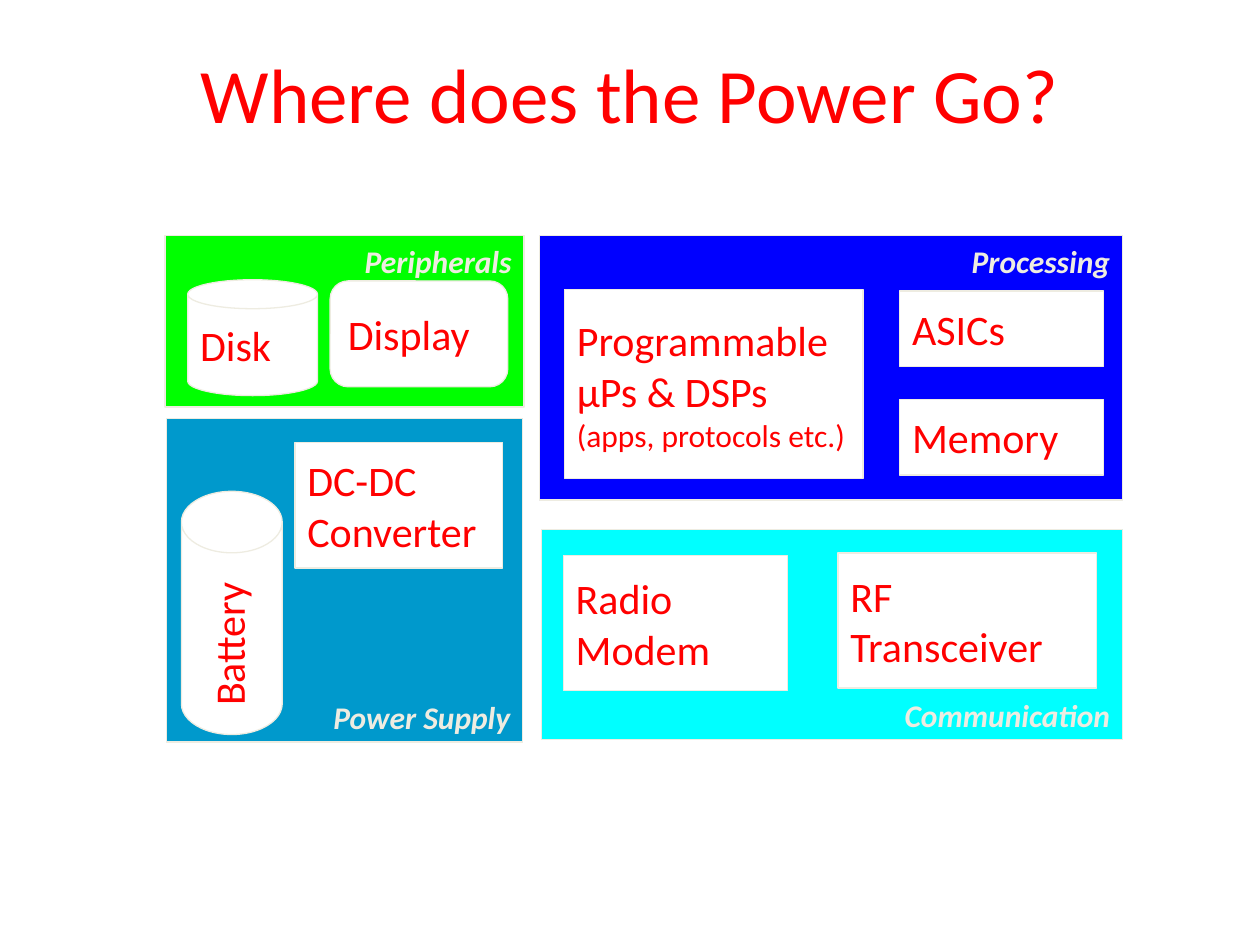
from pptx import Presentation
from pptx.dml.color import RGBColor
from pptx.enum.shapes import MSO_SHAPE
from pptx.enum.text import MSO_ANCHOR, PP_ALIGN
from pptx.util import Inches, Pt

RECT, ROUNDED, CAN = MSO_SHAPE.RECTANGLE, MSO_SHAPE.ROUNDED_RECTANGLE, MSO_SHAPE.CAN
TOP, MIDDLE, BOTTOM = MSO_ANCHOR.TOP, MSO_ANCHOR.MIDDLE, MSO_ANCHOR.BOTTOM
LEFT, CENTER, RIGHT = PP_ALIGN.LEFT, PP_ALIGN.CENTER, PP_ALIGN.RIGHT

COLORS = {
    "text": "FF0000", "outline": "EEECE1", "part": "FFFFFF",
    "peripherals": "00FF00", "power": "0099CC",
    "processing": "0000FF", "communication": "00FFFF",
}

deck = Presentation()
deck.slide_width, deck.slide_height = Inches(10), Inches(7.5)
COL, ROW = deck.slide_width / 100, deck.slide_height / 75
slide = deck.slides.add_slide(deck.slide_layouts[5])


def write(holder, lines, sizes=(24,), color="text", align=LEFT, anchor=MIDDLE,
          emphasis=False, wrap=False):
    """Write one paragraph per line; the last size serves all further lines."""
    frame = holder.text_frame
    frame.word_wrap, frame.vertical_anchor = wrap, anchor
    frame.text = "\n".join(lines)
    for index, paragraph in enumerate(frame.paragraphs):
        paragraph.alignment = align
        font = paragraph.runs[0].font
        font.name, font.size = "Calibri", Pt(sizes[min(index, len(sizes) - 1)])
        font.bold = font.italic = emphasis
        font.color.rgb = RGBColor.from_string(COLORS[color])


def block(geometry, cells, fill, adjustment=None):
    """Draw a filled, thinly outlined shape at grid cells (x, y, width, height)."""
    x, y, width, height = cells
    shape = slide.shapes.add_shape(geometry, round(x * COL), round(y * ROW),
                                   round(width * COL), round(height * ROW))
    shape.shadow.inherit = False
    shape.fill.solid()
    shape.fill.fore_color.rgb = RGBColor.from_string(COLORS[fill])
    shape.line.color.rgb = RGBColor.from_string(COLORS["outline"])
    shape.line.width = Pt(0.75)
    if adjustment is not None:
        shape.adjustments[0] = adjustment
    return shape


title = slide.shapes.title
title.left, title.top = round(5 * COL), round(1.1 * ROW)
title.width, title.height = round(90 * COL), round(12.5 * ROW)
write(title, ["Where does the Power Go?"], sizes=(44,), align=CENTER, wrap=True)

subsystems = [
    ("Power Supply", "power", (13.2, 33.2, 28.3, 25.7), BOTTOM),
    ("Communication", "communication", (43, 42, 46.1, 16.7), BOTTOM),
    ("Processing", "processing", (42.8, 18.7, 46.3, 21), TOP),
    ("Peripherals", "peripherals", (13.1, 18.7, 28.5, 13.6), TOP),
]
for name, fill, cells, anchor in subsystems:
    write(block(RECT, cells, fill), [name], sizes=(18,), color="outline",
          align=RIGHT, anchor=anchor, emphasis=True)

parts = [
    (["DC-DC", "Converter"], RECT, (23.4, 35.1, 16.5, 10), None),
    (["Radio", "Modem"], RECT, (44.7, 44.1, 17.8, 10.7), None),
    (["RF", "Transceiver"], RECT, (66.5, 43.9, 20.5, 10.7), None),
    (["Programmable", "μPs & DSPs", "(apps, protocols etc.)"],
     RECT, (44.8, 23, 23.7, 15), None),
    (["Memory"], RECT, (71.4, 31.7, 16.2, 6), None),
    (["ASICs"], RECT, (71.4, 23.1, 16.2, 6), None),
    (["Disk"], CAN, (14.9, 22.2, 10.3, 9.2), 0.25),
    (["Display"], ROUNDED, (26.2, 22.3, 14.1, 8.4), 0.17),
]
for lines, geometry, cells, adjustment in parts:
    write(block(geometry, cells, "part", adjustment), lines, sizes=(24, 24, 18))

block(CAN, (14.4, 39, 8, 19.3), "part", 0.61)
battery_label = slide.shapes.add_textbox(round(11.8 * COL), round(48.2 * ROW),
                                         round(12.6 * COL), round(5 * ROW))
battery_label.rotation = 270
write(battery_label, ["Battery"])

deck.save("out.pptx")
